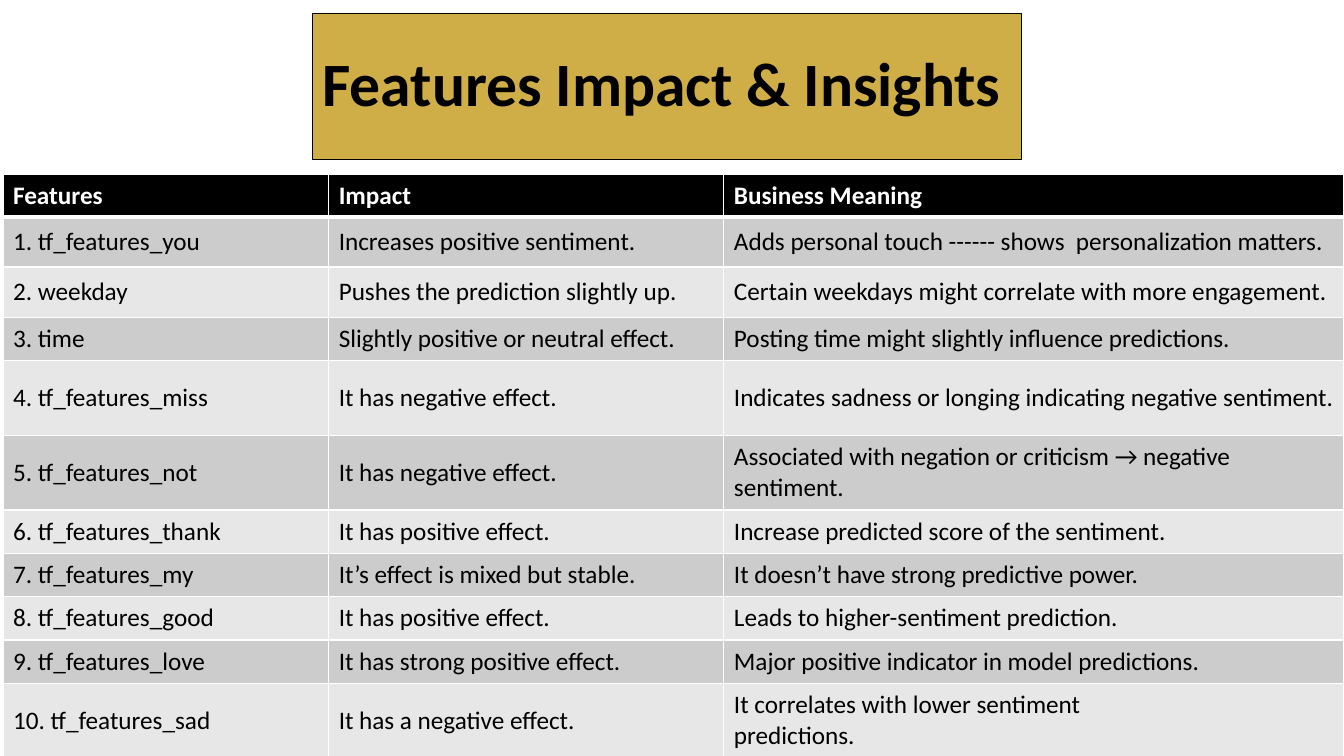
from lxml.etree import SubElement
from pptx import Presentation
from pptx.dml.color import RGBColor
from pptx.enum.shapes import MSO_SHAPE
from pptx.enum.text import MSO_ANCHOR, PP_ALIGN
from pptx.oxml.ns import qn
from pptx.util import Inches, Pt

WIDE, HIGH = Inches(13.33), Inches(7.5)
BLACK, WHITE, GOLD = "000000", "FFFFFF", "BF9000"
BANDS = ["CCCCCC", "E7E7E7"]
COLS = [3.23, 3.92, 6.15]
SHORT, MID, TALL = 0.43, 0.5, 0.74
HEAD = ("Features", "Impact", "Business Meaning")
ROWS = [
    (MID, "tf_features_you", "Increases positive sentiment.",
     "Adds personal touch ------ shows  personalization matters."),
    (MID, "weekday", "Pushes the prediction slightly up.",
     "Certain weekdays might correlate with more engagement."),
    (SHORT, "time", "Slightly positive or neutral effect.",
     "Posting time might slightly influence predictions."),
    (TALL, "tf_features_miss", "It has negative effect.",
     "Indicates sadness or longing indicating negative sentiment."),
    (TALL, "tf_features_not", "It has negative effect.",
     "Associated with negation or criticism → negative sentiment."),
    (SHORT, "tf_features_thank", "It has positive effect.",
     "Increase predicted score of the sentiment."),
    (SHORT, "tf_features_my", "It’s effect is mixed but stable.",
     "It doesn’t have strong predictive power."),
    (SHORT, "tf_features_good", "It has positive effect.",
     "Leads to higher-sentiment prediction."),
    (SHORT, "tf_features_love", "It has strong positive effect.",
     "Major positive indicator in model predictions."),
    (TALL, "tf_features_sad", "It has a negative effect.",
     "It correlates with lower sentiment\vpredictions."),
]


def paint(fill, tone):
    fill.solid()
    fill.fore_color.rgb = RGBColor.from_string(tone)


def write(frame, text, size, tone, bold):
    frame.text = text
    para = frame.paragraphs[0]
    para.alignment = PP_ALIGN.LEFT
    font = para.font
    font.name, font.size, font.bold = "Calibri", Pt(size), bold
    font.color.rgb = RGBColor.from_string(tone)
    return para


def edge(cell, side, width):
    line = SubElement(cell._tc.get_or_add_tcPr(), qn(f"a:ln{side}"), w=str(Pt(width)))
    SubElement(SubElement(line, qn("a:solidFill")), qn("a:srgbClr"), val=WHITE)


def fill_cell(cell, text, row):
    top = row == 0
    for side, width in zip("LRTB", (1, 1, 3 if row == 1 else 1, 3 if top else 1)):
        edge(cell, side, width)
    paint(cell.fill, BLACK if top else BANDS[(row - 1) % 2])
    cell.vertical_anchor = MSO_ANCHOR.MIDDLE
    write(cell.text_frame, text, 18, WHITE if top else BLACK, top)


def add_grid(slide):
    lines = [HEAD] + [(f"{n}. {name}", *rest) for n, (_, name, *rest) in enumerate(ROWS, 1)]
    highs = [0.42] + [row[0] for row in ROWS]
    grid = slide.shapes.add_table(len(lines), len(COLS), Inches(0.03), Inches(1.73),
                                  Inches(sum(COLS)), Inches(sum(highs))).table
    for col, width in zip(grid.columns, COLS):
        col.width = Inches(width)
    for r, (line, high) in enumerate(zip(lines, highs)):
        grid.rows[r].height = Inches(high)
        for c, text in enumerate(line):
            fill_cell(grid.cell(r, c), text, r)


def add_title(slide, text):
    box = slide.shapes.add_shape(MSO_SHAPE.RECTANGLE, Inches(3.1), Inches(0.13),
                                 Inches(7.03), Inches(1.45))
    box.shadow.inherit = False
    paint(box.fill, GOLD)
    tone = box._element.spPr.find(qn("a:solidFill")).find(qn("a:srgbClr"))
    SubElement(tone, qn("a:alpha"), val="72000")
    box.line.color.rgb = RGBColor.from_string(BLACK)
    box.line.width = Pt(0.75)
    box.text_frame.vertical_anchor = MSO_ANCHOR.MIDDLE
    write(box.text_frame, text, 44, BLACK, True).line_spacing = 0.9


def main():
    deck = Presentation()
    deck.slide_width, deck.slide_height = WIDE, HIGH
    slide = deck.slides.add_slide(deck.slide_layouts[6])
    add_grid(slide)
    add_title(slide, "Features Impact & Insights")
    deck.save("out.pptx")


if __name__ == "__main__":
    main()
